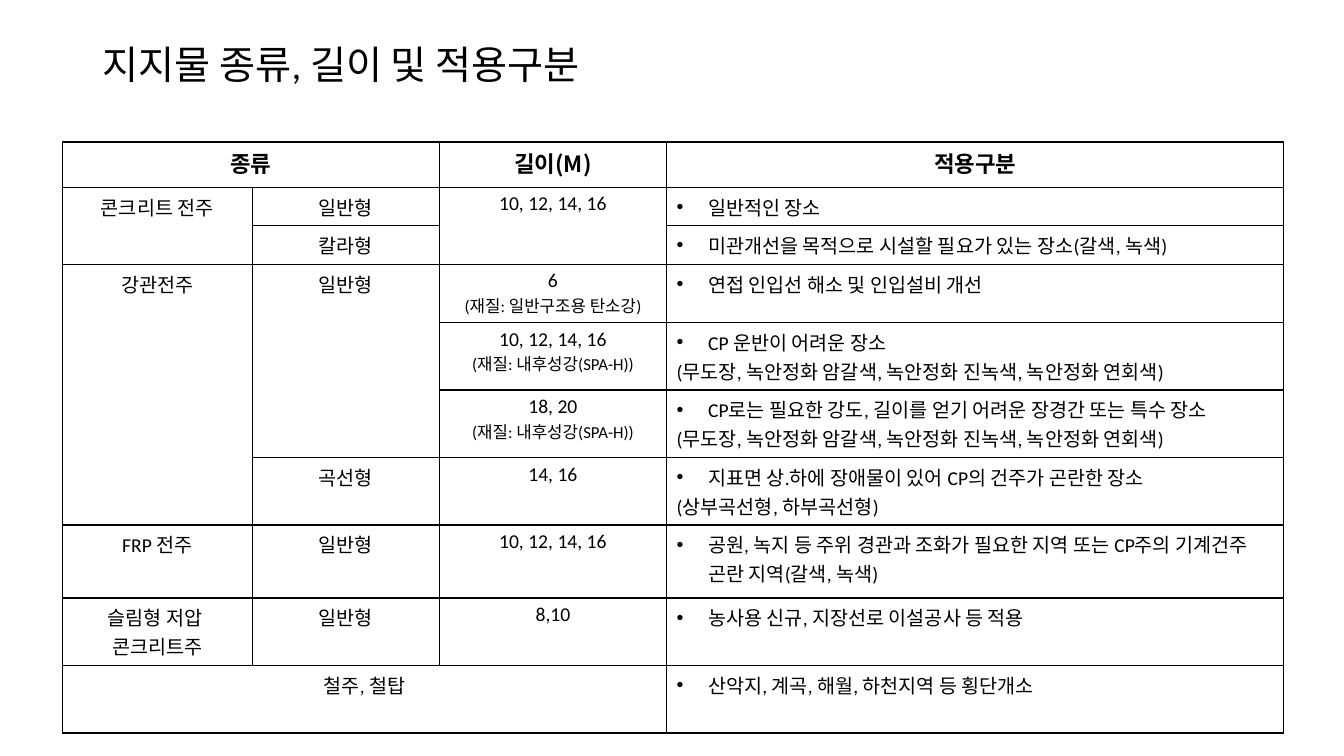
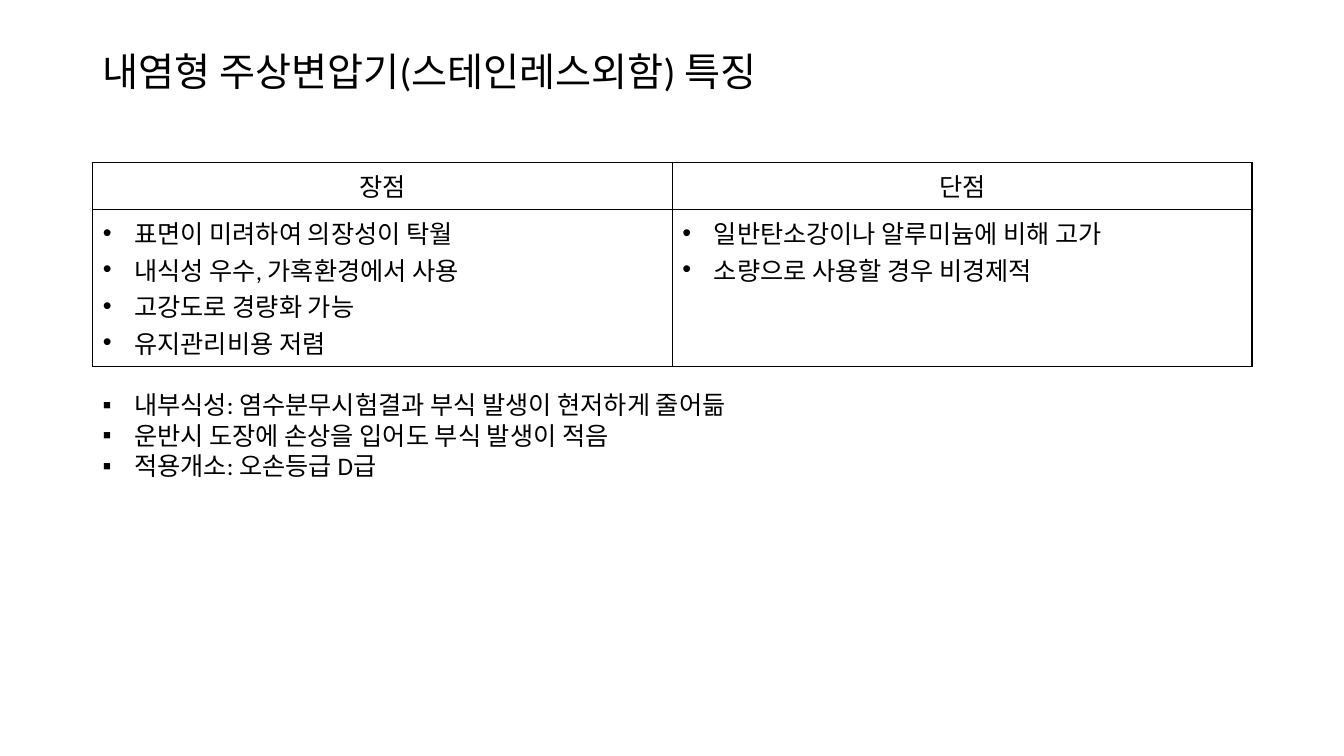
from lxml import etree
from pptx import Presentation
from pptx.dml.color import RGBColor
from pptx.enum.text import MSO_ANCHOR, PP_ALIGN
from pptx.oxml.ns import qn
from pptx.util import Cm, Pt

LEFT, CENTER = PP_ALIGN.LEFT, PP_ALIGN.CENTER
MIDDLE = MSO_ANCHOR.MIDDLE
INK = "000000"
LATIN, HANGUL = "Calibri", "Noto Sans CJK KR"
INDENT = Cm(0.79)
EDGE, WIDE = 2.34, 29.21


def write(frame, text, size, align=LEFT, space=None, bold=False, font=LATIN):
    """Fill a frame line by line; a leading • or ▪ makes a bullet."""
    for i, line in enumerate(text.split("\n")):
        par = frame.paragraphs[0] if i == 0 else frame.add_paragraph()
        par.alignment = align
        if line[0] in "•▪":
            prop = par._p.get_or_add_pPr()
            prop.set("marL", str(INDENT))
            prop.set("indent", str(-INDENT))
            etree.SubElement(prop, qn("a:buFont"), typeface="Arial")
            etree.SubElement(prop, qn("a:buChar"), char=line[0])
            line = line[2:]
        if space:
            par.line_spacing = space
        run = par.add_run()
        run.text = line
        run.font.size = Pt(12 if line.startswith("(재질") else size)
        run.font.bold = bold
        run.font.color.rgb = RGBColor.from_string(INK)
        run.font.name = font
        etree.SubElement(run._r.get_or_add_rPr(), qn("a:ea"), typeface=HANGUL)


def grid(slide, left, top, cols, rows, cells, size, head, bold=False, spans=()):
    """Add a plain table with thin black rules; None marks a merged cell."""
    table = slide.shapes.add_table(len(rows), len(cols), Cm(left), Cm(top),
                                   Cm(sum(cols)), Cm(sum(rows))).table
    table.first_row = table.horz_banding = False
    for col, width in zip(table.columns, cols):
        col.width = Cm(width)
    for row, height in zip(table.rows, rows):
        row.height = Cm(height)
    for r, line in enumerate(cells):
        for c, text in enumerate(line):
            cell = table.cell(r, c)
            prop = cell._tc.get_or_add_tcPr()
            for side in ("lnL", "lnR", "lnT", "lnB"):
                rule = etree.SubElement(prop, qn("a:" + side), w=str(Pt(1)))
                fill = etree.SubElement(rule, qn("a:solidFill"))
                etree.SubElement(fill, qn("a:srgbClr"), val=INK)
            cell.fill.background()
            if text and r == 0:
                write(cell.text_frame, text, head, CENTER, bold=bold, font=HANGUL)
            elif text:
                write(cell.text_frame, text, size, LEFT if text[0] == "•" else CENTER)
    for r1, c1, r2, c2 in spans:
        table.cell(r1, c1).merge(table.cell(r2, c2))


deck = Presentation()
deck.slide_width, deck.slide_height = Cm(33.87), Cm(19.05)

# Slides and titles
slides = []
for title, top, height in (
    ("지지물 종류, 길이 및 적용구분", 0.66, 2.06),
    ("내염형 주상변압기(스테인레스외함) 특징", 0.86, 2),
):
    slide = deck.slides.add_slide(deck.slide_layouts[6])
    frame = slide.shapes.add_textbox(Cm(EDGE), Cm(top), Cm(WIDE), Cm(height)).text_frame
    frame.word_wrap = True
    frame.vertical_anchor = MIDDLE
    write(frame, title, 28, space=0.9)
    slides.append(slide)
poles, trans = slides

# Pole types
paint = "\n(무도장, 녹안정화 암갈색, 녹안정화 진녹색, 녹안정화 연회색)"
steel = "\n(재질: 내후성강(SPA-H))"
cells = [
    ("종류", None, "길이(M)", "적용구분"),
    ("콘크리트 전주", "일반형", "10, 12, 14, 16", "• 일반적인 장소"),
    (None, "칼라형", None, "• 미관개선을 목적으로 시설할 필요가 있는 장소(갈색, 녹색)"),
    ("강관전주", "일반형", "6\n(재질: 일반구조용 탄소강)", "• 연접 인입선 해소 및 인입설비 개선"),
    (None, None, "10, 12, 14, 16" + steel, "• CP 운반이 어려운 장소" + paint),
    (None, None, "18, 20" + steel,
     "• CP로는 필요한 강도, 길이를 얻기 어려운 장경간 또는 특수 장소" + paint),
    (None, "곡선형", "14, 16",
     "• 지표면 상.하에 장애물이 있어 CP의 건주가 곤란한 장소\n(상부곡선형, 하부곡선형)"),
    ("FRP 전주", "일반형", "10, 12, 14, 16",
     "• 공원, 녹지 등 주위 경관과 조화가 필요한 지역 또는 CP주의 기계건주 곤란 지역(갈색, 녹색)"),
    ("슬림형 저압 \n콘크리트주", "일반형", "8,10", "• 농사용 신규, 지장선로 이설공사 등 적용"),
    ("철주, 철탑", None, None, "• 산악지, 계곡, 해월, 하천지역 등 횡단개소"),
]
spans = [(0, 0, 0, 1), (1, 0, 2, 0), (1, 2, 2, 2), (3, 0, 6, 0), (3, 1, 5, 1), (9, 0, 9, 2)]
rows = [1.14, 0.97, 0.97, 1.47, 1.7, 1.7, 1.7, 1.84, 1.7, 1.7]
grid(poles, 1.57, 3.58, [4.79, 4.71, 5.73, 15.55], rows, cells, 14, 16, True, spans)

# Pros and cons
cells = [
    ("장점", "단점"),
    ("• 표면이 미려하여 의장성이 탁월\n• 내식성 우수, 가혹환경에서 사용\n"
     "• 고강도로 경량화 가능\n• 유지관리비용 저렴",
     "• 일반탄소강이나 알루미늄에 비해 고가\n• 소량으로 사용할 경우 비경제적"),
]
grid(trans, EDGE, 4.1, [WIDE / 2] * 2, [1.18, 3.95], cells, 18, 18)

# Remarks
frame = trans.shapes.add_textbox(Cm(EDGE), Cm(9.68), Cm(17.6), Cm(2.57)).text_frame
frame.word_wrap = True
write(frame, "▪ 내부식성: 염수분무시험결과 부식 발생이 현저하게 줄어듦\n"
             "▪ 운반시 도장에 손상을 입어도 부식 발생이 적음\n"
             "▪ 적용개소: 오손등급 D급", 18, space=Pt(21.8))

deck.save("out.pptx")
